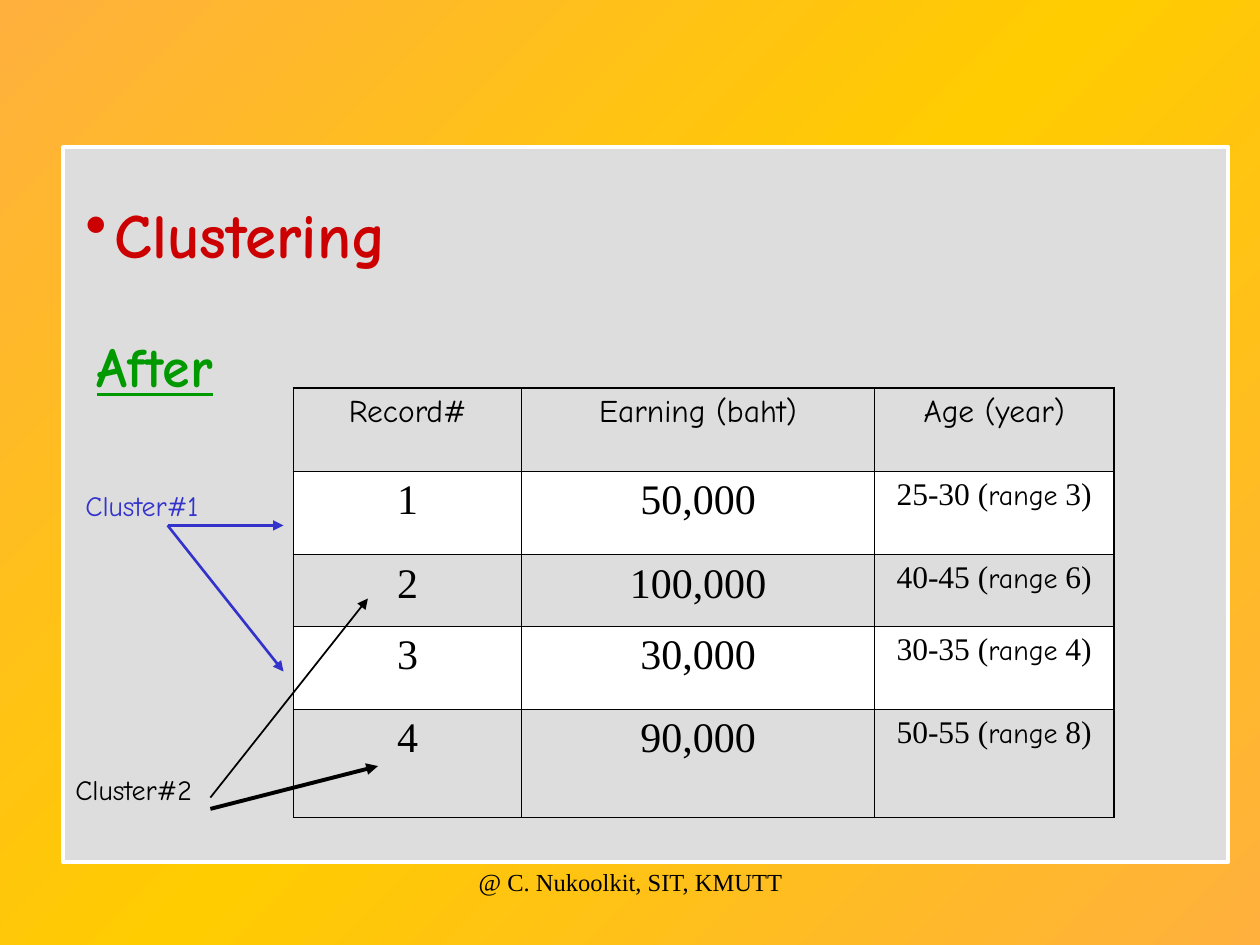
"""Build the clustering slide: records table with arrows from two clusters."""
from copy import deepcopy

from lxml.etree import SubElement
from pptx import Presentation
from pptx.dml.color import RGBColor
from pptx.enum.shapes import MSO_CONNECTOR as Connector, MSO_SHAPE as Shape
from pptx.enum.text import PP_ALIGN as Align
from pptx.oxml.ns import qn
from pptx.util import Inches, Pt

COLORS = {"orange": "FFB03D", "yellow": "FFCC00", "panel": "DDDDDD", "white": "FFFFFF",
          "red": "CC0000", "green": "009900", "blue": "3333CC", "black": "000000"}
COMIC, TIMES = "Comic Neue", "Times New Roman"
GRADIENT = [(0, "orange"), (0.5, "yellow"), (1, "orange")]

HEADERS = ["Record#", "Earning (baht)", "Age (year)"]
RECORDS = [("1", "50,000", "25-30", 3), ("2", "100,000", "40-45", 6),
           ("3", "30,000", "30-35", 4), ("4", "90,000", "50-55", 8)]
COLUMN_WIDTHS = [1.81, 2.8, 1.9]
ROW_HEIGHTS = [0.66, 0.66, 0.57, 0.66, 0.86]
TABLE_LEFT, TABLE_TOP = 2.33, 3.08
OUTER_LINE, INNER_LINE = 1.08, 0.45

TITLE = ("Clustering", (0.58, 1.5, 8.92, 5.67), COMIC, 36, "red")
SUBTITLE = ("After", (0.67, 2.58, 1.5, 0.64), COMIC, 32, "green")
LABELS = [("Cluster#1", (0.58, 3.83, 1.5, 0.37), COMIC, 16, "blue"),
          ("Cluster#2", (0.5, 6.08, 1.5, 0.37), COMIC, 16, "black")]
FOOTER = ("@ C. Nukoolkit, SIT, KMUTT", (3.42, 6.83, 3.17, 0.5), TIMES, 14, "black")
ARROWS = [((1.33, 4.17), (2.25, 4.17), "blue", 1.5),
          ((1.33, 4.17), (2.25, 5.33), "blue", 1.5),
          ((1.67, 6.33), (2.92, 4.75), "black", 1),
          ((1.67, 6.42), (3, 6.08), "black", 2.25)]


def rgb(name):
    return RGBColor.from_string(COLORS[name])


def style_run(run, font_name, size, color):
    run.font.name, run.font.size = font_name, Pt(size)
    run.font.color.rgb = rgb(color)


def paint_background(slide):
    fill = slide.background.fill
    fill.gradient()
    fill.gradient_angle = 135
    stop_list = slide.element.find(".//" + qn("a:gsLst"))
    stop_list.insert(1, deepcopy(stop_list[0]))
    for stop, (position, color) in zip(fill.gradient_stops, GRADIENT):
        stop.position, stop.color.rgb = position, rgb(color)


def add_panel(slide):
    panel = slide.shapes.add_shape(Shape.RECTANGLE, *map(Inches, (0.5, 1.17, 9.25, 5.67)))
    panel.shadow.inherit = False
    panel.fill.solid()
    panel.fill.fore_color.rgb = rgb("panel")
    panel.line.color.rgb, panel.line.width = rgb("white"), Pt(2.25)


def add_text(slide, text, box, font_name, size, color):
    frame = slide.shapes.add_textbox(*map(Inches, box)).text_frame
    frame.word_wrap = True
    frame.text = text
    paragraph = frame.paragraphs[0]
    style_run(paragraph.runs[0], font_name, size, color)
    return paragraph


def add_bullet(paragraph, color):
    properties = paragraph._p.get_or_add_pPr()
    indent = Inches(0.23)
    properties.set("marL", str(indent))
    properties.set("indent", str(-indent))
    bullet_color = SubElement(properties, qn("a:buClr"))
    SubElement(bullet_color, qn("a:srgbClr"), val=COLORS[color])
    SubElement(properties, qn("a:buChar"), char="•")


def add_border(cell, side, width):
    line = SubElement(cell._tc.get_or_add_tcPr(), qn(f"a:ln{side}"), w=str(Pt(width)))
    SubElement(SubElement(line, qn("a:solidFill")), qn("a:srgbClr"), val=COLORS["black"])


def fill_cell(cell, runs):
    paragraph = cell.text_frame.paragraphs[0]
    paragraph.alignment = Align.CENTER
    for text, font_name, size in runs:
        run = paragraph.add_run()
        run.text = text
        style_run(run, font_name, size, "black")


def add_records_table(slide):
    rows = [[[(header, COMIC, 18)] for header in HEADERS]]
    for number, earning, ages, spread in RECORDS:
        rows.append([[(number, TIMES, 24)], [(earning, TIMES, 24)],
                     [(f"{ages} (", TIMES, 18), ("range", COMIC, 16), (f" {spread})", TIMES, 18)]])
    size = (sum(COLUMN_WIDTHS), sum(ROW_HEIGHTS))
    table = slide.shapes.add_table(len(rows), len(HEADERS),
                                   *map(Inches, (TABLE_LEFT, TABLE_TOP, *size))).table
    table.first_row = table.horz_banding = False
    for column, width in zip(table.columns, COLUMN_WIDTHS):
        column.width = Inches(width)
    for row, height in zip(table.rows, ROW_HEIGHTS):
        row.height = Inches(height)
    last_row, last_column = len(rows) - 1, len(HEADERS) - 1
    for row_index, row in enumerate(rows):
        for column_index, runs in enumerate(row):
            cell = table.cell(row_index, column_index)
            fill_cell(cell, runs)
            edges = {"L": column_index == 0, "R": column_index == last_column,
                     "T": row_index == 0, "B": row_index == last_row}
            for side, is_outer in edges.items():
                add_border(cell, side, OUTER_LINE if is_outer else INNER_LINE)
            if row_index % 2:
                cell.fill.solid()
                cell.fill.fore_color.rgb = rgb("white")
            else:
                cell.fill.background()


def add_arrow(slide, start, end, color, width):
    arrow = slide.shapes.add_connector(Connector.STRAIGHT, *map(Inches, (*start, *end)))
    arrow.line.color.rgb, arrow.line.width = rgb(color), Pt(width)
    SubElement(arrow.line._get_or_add_ln(), qn("a:tailEnd"), type="triangle")
    SubElement(arrow._element.spPr, qn("a:effectLst"))


def main():
    presentation = Presentation()
    presentation.slide_width, presentation.slide_height = Inches(10), Inches(7.5)
    slide = presentation.slides.add_slide(presentation.slide_layouts[6])
    paint_background(slide)
    add_panel(slide)
    title = add_text(slide, *TITLE)
    add_bullet(title, "red")
    title.runs[0].font.bold = True
    add_records_table(slide)
    subtitle_font = add_text(slide, *SUBTITLE).runs[0].font
    subtitle_font.bold = subtitle_font.underline = True
    for label in LABELS:
        add_text(slide, *label)
    for arrow in ARROWS:
        add_arrow(slide, *arrow)
    add_text(slide, *FOOTER).alignment = Align.CENTER
    presentation.save("out.pptx")


if __name__ == "__main__":
    main()
